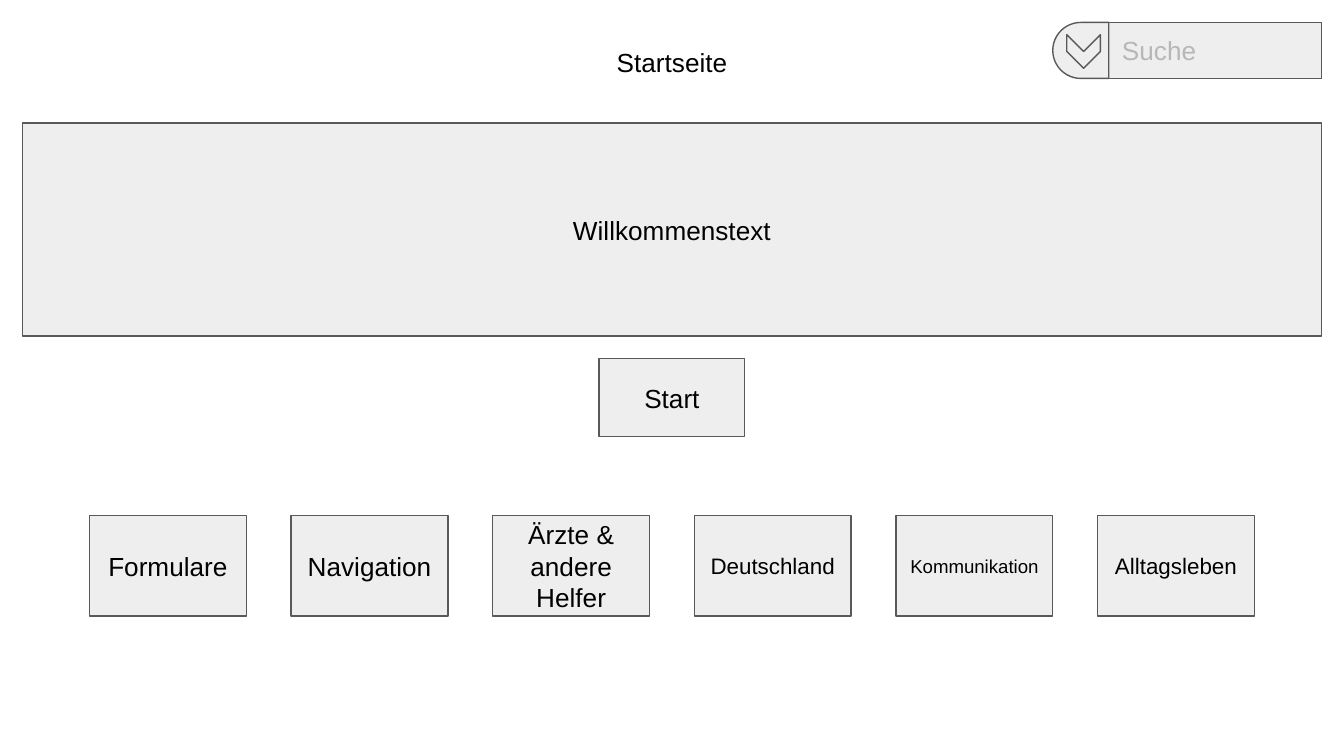
from pptx import Presentation
from pptx import util as u
from pptx.dml.color import RGBColor
from pptx.enum import shapes, text

BLACK = RGBColor(0x00, 0x00, 0x00)
HINT = RGBColor(0xB7, 0xB7, 0xB7)
PANEL = RGBColor(0xEE, 0xEE, 0xEE)
OUTLINE = RGBColor(0x59, 0x59, 0x59)

# The layout sits on a grid of twelve units to the inch
COLUMNS, ROWS = 120, 67.5
MARGIN = 2
TILE_LEFT, TILE_TOP, TILE_STEP = 8, 46, 18
TILES = [
    ("Formulare", 14),
    ("Navigation", 14),
    ("Ärzte & andere Helfer", 14),
    ("Deutschland", 12),
    ("Kommunikation", 10),
    ("Alltagsleben", 12),
]


def grid(*units):
    return [u.Inches(unit / 12) for unit in units]


def write(box, words, size=14, color=BLACK, align=text.PP_ALIGN.CENTER):
    frame = box.text_frame
    frame.word_wrap = True
    frame.vertical_anchor = text.MSO_ANCHOR.MIDDLE
    frame.margin_left = frame.margin_right = u.Inches(0.1)
    frame.margin_top = frame.margin_bottom = u.Inches(0.1)
    para = frame.paragraphs[0]
    para.alignment = align
    span = para.add_run()
    span.text = words
    span.font.name = "Arial"
    span.font.size = u.Pt(size)
    span.font.color.rgb = color


def add_panel(page, left, top, width, height,
              kind=shapes.MSO_SHAPE.RECTANGLE, rotation=0, adjust=()):
    panel = page.shapes.add_shape(kind, *grid(left, top, width, height))
    panel.shadow.inherit = False
    panel.fill.solid()
    panel.fill.fore_color.rgb = PANEL
    panel.line.color.rgb = OUTLINE
    panel.line.width = u.Pt(0.75)
    panel.rotation = rotation
    for index, value in enumerate(adjust):
        panel.adjustments[index] = value
    return panel


def add_search(page):
    field_width, height = 19, 5
    field_left = COLUMNS - MARGIN - field_width
    field = add_panel(page, field_left, MARGIN, field_width, height)
    write(field, "Suche", color=HINT, align=text.PP_ALIGN.LEFT)
    # Rounded button with a downward chevron
    button_left = field_left - height
    add_panel(page, button_left, MARGIN, height, height,
              shapes.MSO_SHAPE.ROUND_2_SAME_RECTANGLE, 270, (0.5, 0))
    return button_left


def main():
    deck = Presentation()
    deck.slide_width, deck.slide_height = grid(COLUMNS, ROWS)
    page = deck.slides.add_slide(deck.slide_layouts[6])

    # Welcome area and start button
    welcome = add_panel(page, MARGIN, 11, COLUMNS - 2 * MARGIN, 19)
    write(welcome, "Willkommenstext")
    start_width = 13
    start = add_panel(page, (COLUMNS - start_width) / 2, 32, start_width, 7)
    write(start, "Start")

    # Row of topic tiles
    for index, (label, size) in enumerate(TILES):
        tile = add_panel(page, TILE_LEFT + index * TILE_STEP, TILE_TOP, 14, 9)
        write(tile, label, size)

    # Search bar, title and chevron
    button_left = add_search(page)
    title = page.shapes.add_textbox(*grid(COLUMNS / 3, MARGIN, COLUMNS / 3, 7))
    write(title, "Startseite")
    add_panel(page, button_left + 1.25, MARGIN + 1.1, 3, 3,
              shapes.MSO_SHAPE.CHEVRON, 90, (0.5,))

    deck.save("out.pptx")


if __name__ == "__main__":
    main()
